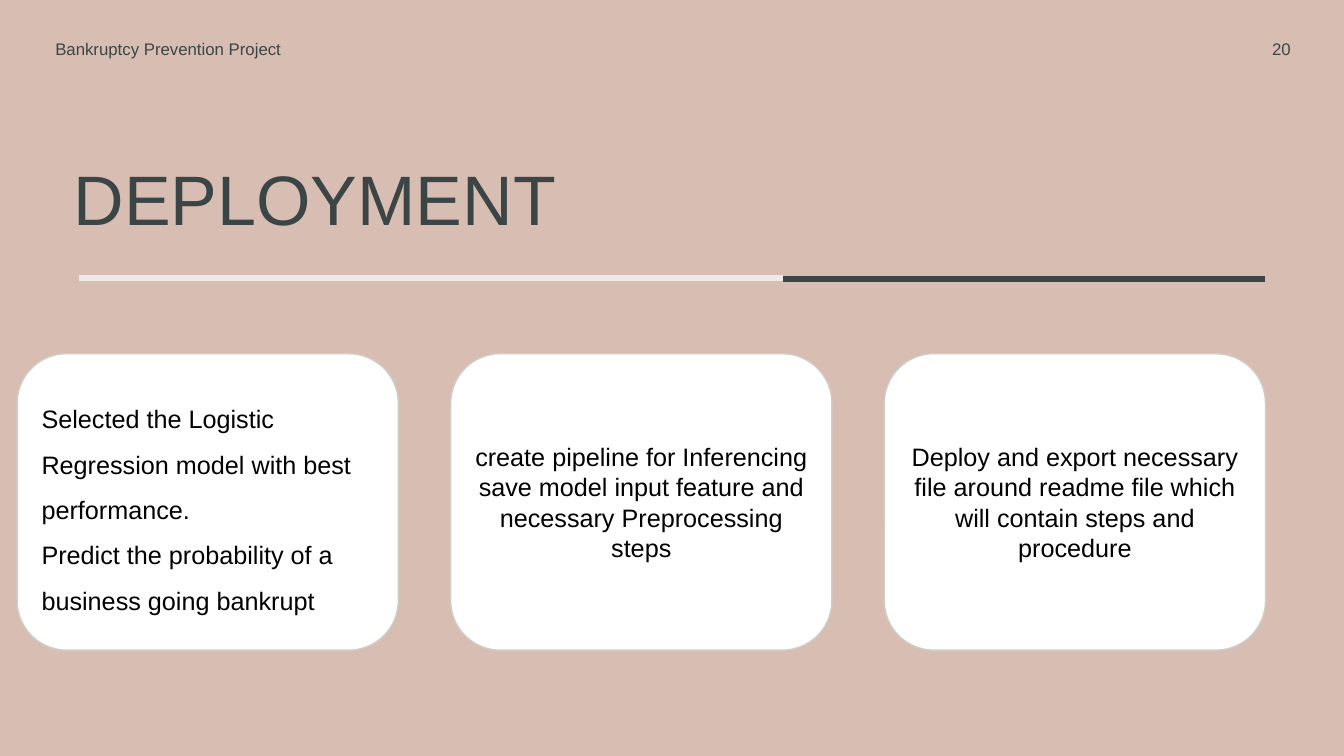
import pptx
import pptx.util
import pptx.dml.color
import pptx.enum.shapes
import pptx.enum.text
import pptx.oxml.ns
from lxml import etree

RGBColor = pptx.dml.color.RGBColor
ALIGN = pptx.enum.text.PP_ALIGN
ANCHOR = pptx.enum.text.MSO_ANCHOR

ROSE = RGBColor(0xD8, 0xBE, 0xB2)
SLATE = RGBColor(0x3B, 0x45, 0x46)
CREAM = RGBColor(0xED, 0xE9, 0xE6)
WHITE = RGBColor(0xFF, 0xFF, 0xFF)
BLACK = RGBColor(0x00, 0x00, 0x00)
CARD_EDGE = RGBColor(0xD0, 0xCD, 0xC5)

WIDTH = pptx.util.Inches(13.33)
HEIGHT = pptx.util.Inches(7.5)

CARD_LEFT, CARD_STEP = 1.28, 32.26
CARDS = [
    ("Selected the Logistic Regression model with best performance.\n"
     "Predict the probability of a business going bankrupt", ALIGN.LEFT, 1.5),
    ("create pipeline for Inferencing save model input feature and "
     "necessary Preprocessing steps", ALIGN.CENTER, 1.0),
    ("Deploy and export necessary file around readme file which will "
     "contain steps and procedure", ALIGN.CENTER, 1.0),
]


def area(left, top, width, height):
    """Turn percentages of the slide's width and height into lengths."""
    return (int(WIDTH * left / 100), int(HEIGHT * top / 100),
            int(WIDTH * width / 100), int(HEIGHT * height / 100))


def write(tf, text, size, color, align=ALIGN.LEFT, spacing=1.0, anchor=ANCHOR.MIDDLE):
    tf.text = text
    tf.word_wrap = True
    tf.auto_size = pptx.enum.text.MSO_AUTO_SIZE.NONE
    tf.vertical_anchor = anchor
    for p in tf.paragraphs:
        p.alignment = align
        p.line_spacing = spacing
        for r in p.runs:
            r.font.name = "Arial"
            r.font.size = pptx.util.Pt(size)
            r.font.color.rgb = color


def add_title(s, text):
    title = s.shapes.title
    title.left, title.top, title.width, title.height = area(4.95, 21.33, 89.2, 10.27)
    tf = title.text_frame
    write(tf, text, 50, SLATE, spacing=0.8, anchor=ANCHOR.BOTTOM)
    tf.margin_left = pptx.util.Inches(0.07)
    tf.margin_bottom = 0


def add_label(s, text, left, width, align):
    box = s.shapes.add_textbox(*area(left, 4.4, width, 4))
    write(box.text_frame, text, 12, SLATE, align)


def add_rule(s, start, end, top, color):
    x1, y, x2, _ = area(start, top, end, 0)
    line = s.shapes.add_connector(pptx.enum.shapes.MSO_CONNECTOR.STRAIGHT, x1, y, x2, y)
    line.line.color.rgb = color
    line.line.width = pptx.util.Pt(4.5)
    etree.SubElement(line._element.spPr, pptx.oxml.ns.qn("a:effectLst"))


def add_card(s, column, text, align, spacing):
    card = s.shapes.add_shape(
        pptx.enum.shapes.MSO_SHAPE.ROUNDED_RECTANGLE,
        *area(CARD_LEFT + column * CARD_STEP, 46.8, 28.36, 39.2))
    card.shadow.inherit = False
    card.fill.solid()
    card.fill.fore_color.rgb = WHITE
    card.line.color.rgb = CARD_EDGE
    card.line.width = pptx.util.Pt(1)
    write(card.text_frame, text, 18, BLACK, align, spacing)


def main():
    prs = pptx.Presentation()
    prs.slide_width, prs.slide_height = WIDTH, HEIGHT
    s = prs.slides.add_slide(prs.slide_layouts.get_by_name("Title Only"))
    s.background.fill.solid()
    s.background.fill.fore_color.rgb = ROSE

    add_rule(s, 5.85, 58.29, 36.8, CREAM)
    add_rule(s, 58.29, 94.15, 36.93, SLATE)
    add_label(s, "Bankruptcy Prevention Project", 3.38, 20.41, ALIGN.LEFT)
    add_label(s, "20", 83.05, 13.73, ALIGN.RIGHT)
    add_title(s, "DEPLOYMENT")
    for column, (text, align, spacing) in enumerate(CARDS):
        add_card(s, column, text, align, spacing)

    prs.save("out.pptx")


if __name__ == "__main__":
    main()
